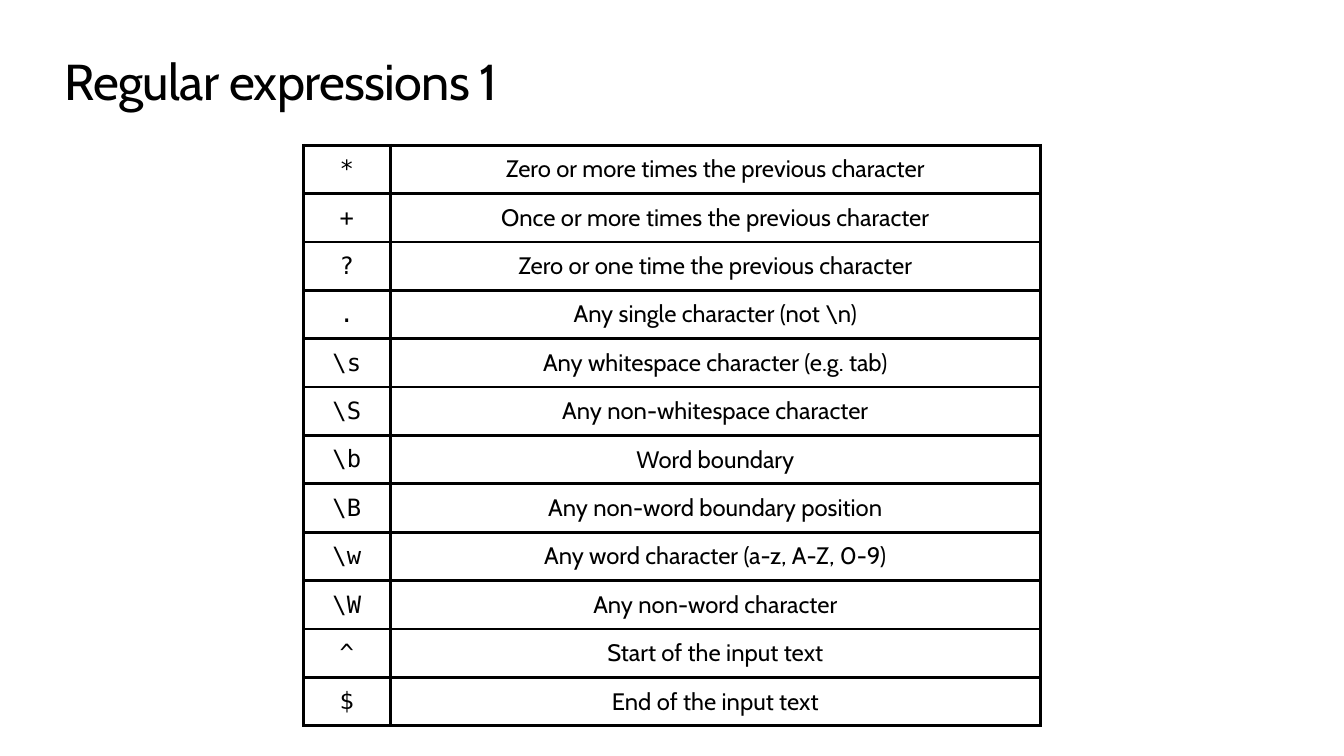
from lxml import etree
from pptx import Presentation
from pptx.dml.color import RGBColor
from pptx.enum import text
from pptx.oxml import ns
from pptx.util import Inches, Pt

BLACK = RGBColor(0x00, 0x00, 0x00)
SANS, MONO = "Cabin", "DejaVu Sans Mono"
ROWS = [
    ("*", "Zero or more times the previous character"),
    ("+", "Once or more times the previous character"),
    ("?", "Zero or one time the previous character"),
    (".", r"Any single character (not \n)"),
    (r"\s", "Any whitespace character (e.g. tab)"),
    (r"\S", "Any non-whitespace character"),
    (r"\b", "Word boundary"),
    (r"\B", "Any non-word boundary position"),
    (r"\w", "Any word character (a-z, A-Z, 0-9)"),
    (r"\W", "Any non-word character"),
    ("^", "Start of the input text"),
    ("$", "End of the input text"),
]
COL_WIDTHS = [0.86, 6.45]
ROW_HEIGHT = 0.48


def add_text(p, words, font, size):
    r = p.add_run()
    r.text = words
    for name, value in {"name": font, "size": Pt(size), "bold": False}.items():
        setattr(r.font, name, value)
    r.font.color.rgb = BLACK
    return r


def add_borders(cell):
    tc_pr = cell._tc.get_or_add_tcPr()
    for side in ("lnL", "lnR", "lnT", "lnB"):
        ln = etree.SubElement(tc_pr, ns.qn(f"a:{side}"), w=str(Pt(2.25)))
        fill = etree.SubElement(ln, ns.qn("a:solidFill"))
        etree.SubElement(fill, ns.qn("a:srgbClr"), val=str(BLACK))


prs = Presentation()
prs.slide_width, prs.slide_height = Inches(13.33), Inches(7.5)
s = prs.slides.add_slide(prs.slide_layouts[5])

title = s.shapes.title
title_box = {"left": 0.64, "top": 0.5, "width": 12.05, "height": 0.61}
for name, value in title_box.items():
    setattr(title, name, Inches(value))
tf = title.text_frame
title_format = {
    "margin_left": 0, "margin_right": 0, "margin_top": 0, "margin_bottom": 0,
    "word_wrap": True,
    "vertical_anchor": text.MSO_ANCHOR.TOP,
    "auto_size": text.MSO_AUTO_SIZE.SHAPE_TO_FIT_TEXT,
}
for name, value in title_format.items():
    setattr(tf, name, value)
p = tf.paragraphs[0]
p.alignment = text.PP_ALIGN.LEFT
r = add_text(p, "Regular expressions 1", SANS, 36)
r.font._element.set("spc", "-50")

table = s.shapes.add_table(
    len(ROWS), len(COL_WIDTHS), Inches(3.01), Inches(1.44),
    Inches(sum(COL_WIDTHS)), Inches(ROW_HEIGHT * len(ROWS)),
).table
table.first_row = False
table.horz_banding = False
for col, width in zip(table.columns, COL_WIDTHS):
    col.width = Inches(width)

cell_format = {
    "margin_left": Inches(0.04), "margin_right": Inches(0.04),
    "margin_top": Inches(0.04), "margin_bottom": Inches(0.04),
    "vertical_anchor": text.MSO_ANCHOR.MIDDLE,
}
for row, entries in zip(table.rows, ROWS):
    row.height = Inches(ROW_HEIGHT)
    for cell, words, font in zip(row.cells, entries, (MONO, SANS)):
        for name, value in cell_format.items():
            setattr(cell, name, value)
        add_borders(cell)
        cell.fill.background()
        p = cell.text_frame.paragraphs[0]
        p.alignment = text.PP_ALIGN.CENTER
        add_text(p, words, font, 17)

prs.save("out.pptx")
